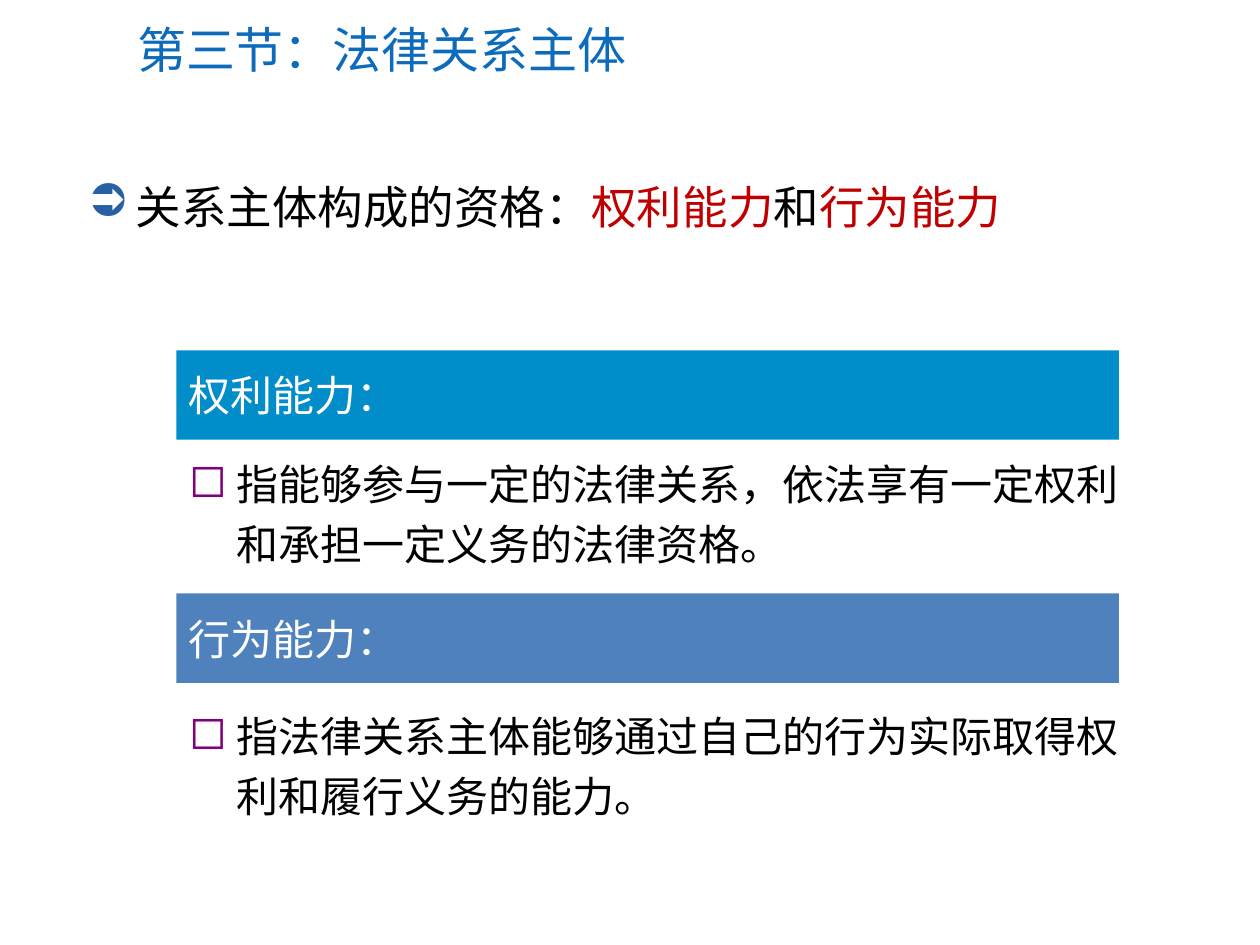
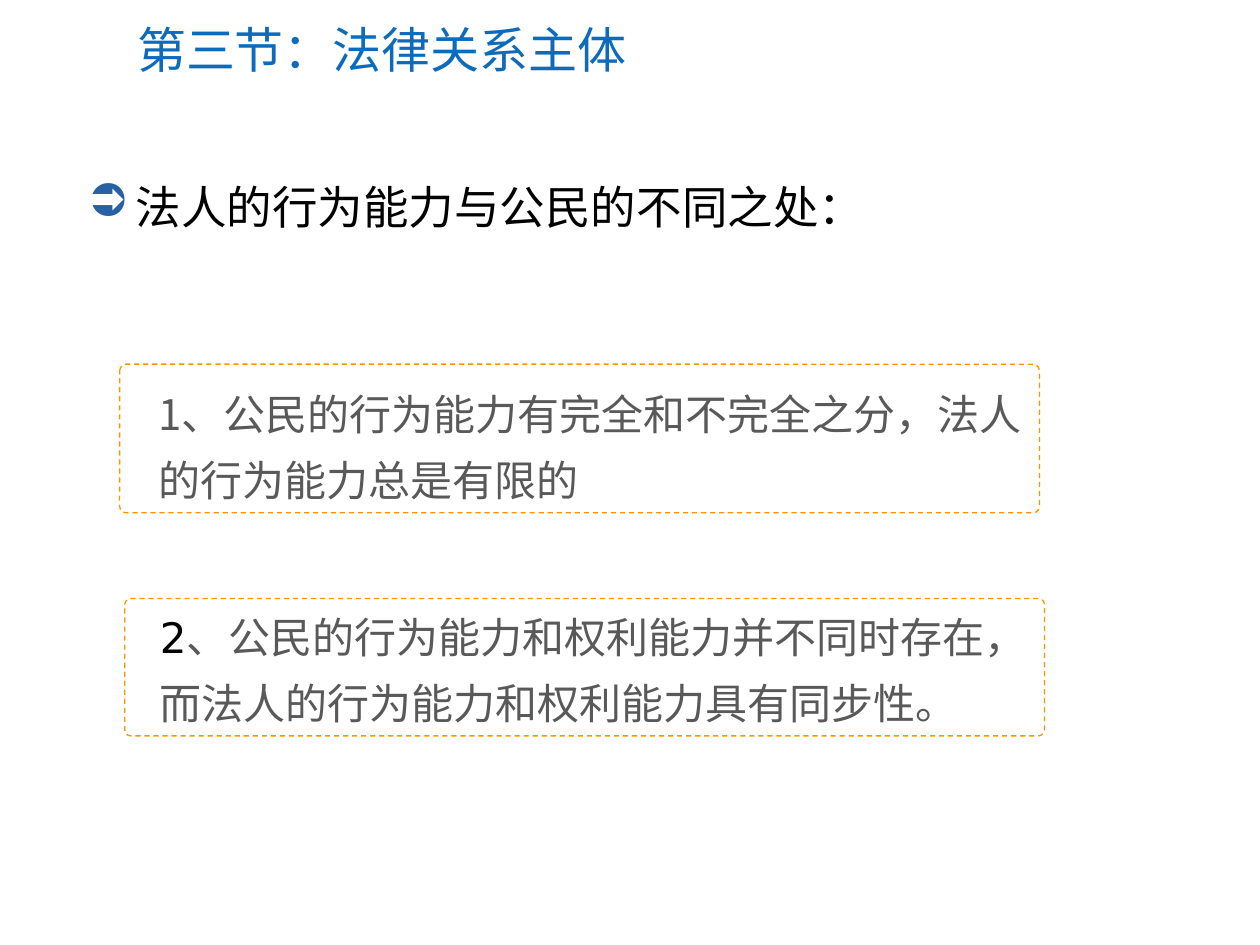
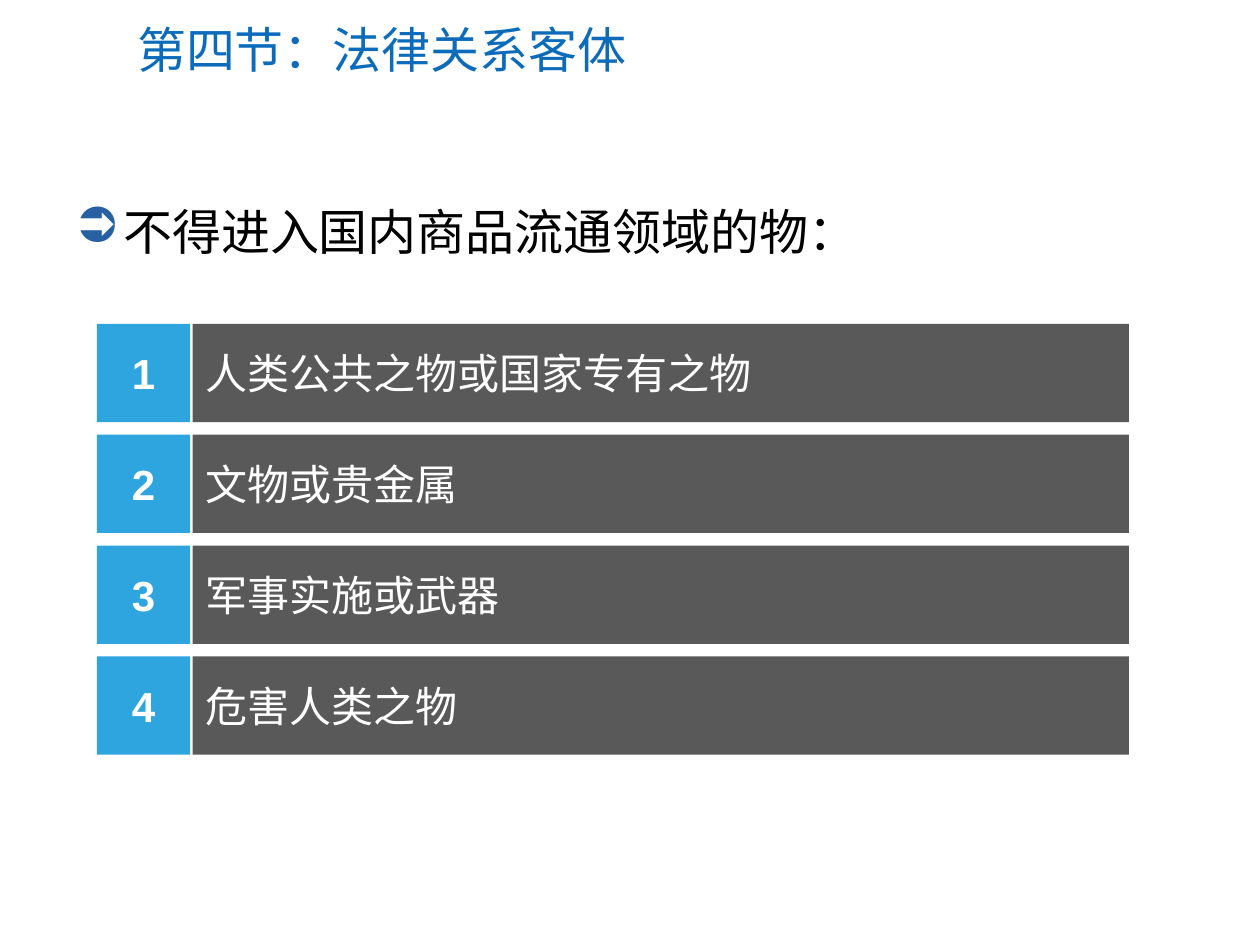
from dataclasses import dataclass

from lxml import etree
from pptx import Presentation
from pptx.dml.color import RGBColor
from pptx.enum.dml import MSO_LINE
from pptx.enum.shapes import MSO_SHAPE
from pptx.enum.text import MSO_ANCHOR, MSO_AUTO_SIZE, PP_ALIGN
from pptx.oxml.ns import qn
from pptx.util import Inches, Pt

RECT = MSO_SHAPE.RECTANGLE
ROUND = MSO_SHAPE.ROUNDED_RECTANGLE
TOP = MSO_ANCHOR.TOP
MIDDLE = MSO_ANCHOR.MIDDLE
LEFT = PP_ALIGN.LEFT
CENTER = PP_ALIGN.CENTER
GROW = MSO_AUTO_SIZE.SHAPE_TO_FIT_TEXT
FIXED = MSO_AUTO_SIZE.NONE
DASH = MSO_LINE.DASH


@dataclass(frozen=True)
class Theme:
    title: str = "0C6BBA"
    ink: str = "000000"
    white: str = "FFFFFF"
    red: str = "C00000"
    gray: str = "595959"
    cyan: str = "008DCA"
    blue: str = "4F81BD"
    sky: str = "2EA5DF"
    orange: str = "FF9400"
    arrow: str = "2860A4"
    purple: str = "800080"
    font: str = "Calibri"
    asian: str = "Noto Sans CJK SC"
    digit: str = "Arial"
    plain: str = "DejaVu Sans"
    large: int = 28
    lead: int = 26
    body: int = 24


T = Theme()
ARROW = ("➲", T.arrow, 100)
SQUARE = ("◻", T.purple, 110)


def put_mark(para, mark):
    sign, color, scale = mark
    props = para._p.get_or_add_pPr()
    props.set("marL", str(Inches(0.38)))
    props.set("indent", str(-Inches(0.38)))
    tint = etree.SubElement(props, qn("a:buClr"))
    etree.SubElement(tint, qn("a:srgbClr"), val=color)
    etree.SubElement(props, qn("a:buSzPct"), val=str(scale * 1000))
    etree.SubElement(props, qn("a:buChar"), char=sign)


def write(shape, *parts, size=T.body, color=T.ink, font=T.font, bold=False,
          align=LEFT, anchor=MIDDLE, before=0.2, line=None, mark=None, fit=FIXED):
    frame = shape.text_frame
    frame.word_wrap = True
    frame.auto_size = fit
    frame.vertical_anchor = anchor
    para = frame.paragraphs[0]
    para.alignment = align
    para.space_before = Pt(size * before)
    if line:
        para.line_spacing = line
    if mark:
        put_mark(para, mark)
    for part in parts:
        text, tone, face = part if isinstance(part, tuple) else (part, color, font)
        run = para.add_run()
        run.text = text
        run.font.size = Pt(size)
        run.font.bold = bold
        run.font.name = face
        run.font.color.rgb = RGBColor.from_string(tone)
        etree.SubElement(run._r.get_or_add_rPr(), qn("a:ea"), typeface=T.asian)


def add_text(slide, box, *parts, **style):
    shape = slide.shapes.add_textbox(*map(Inches, box))
    write(shape, *parts, **style)


def add_box(slide, box, fill, kind=RECT):
    shape = slide.shapes.add_shape(kind, *map(Inches, box))
    shape.shadow.inherit = False
    shape.fill.solid()
    shape.fill.fore_color.rgb = RGBColor.from_string(fill)
    shape.line.fill.background()
    return shape


def add_page(deck, title):
    slide = deck.slides.add_slide(deck.slide_layouts[6])
    add_text(slide, (0.99, 0.1, 8.72, 0.58), title,
             size=T.large, color=T.title, before=0)
    return slide


def add_lead(slide, box, *parts, size=T.lead):
    add_text(slide, box, *parts, size=size, anchor=TOP, mark=ARROW)


def add_term(slide, box, fill, term, sense, drop):
    left, top, width, height = box
    write(add_box(slide, box, fill), term, color=T.white)
    add_text(slide, (left, top + drop, width + 0.2, 1.01), sense,
             anchor=TOP, line=1.2, mark=SQUARE, fit=GROW)


def add_note(slide, box, inner, *parts):
    left, top, width, height = box
    card = add_box(slide, box, T.white, ROUND)
    card.adjustments[0] = 0.044
    card.line.color.rgb = RGBColor.from_string(T.orange)
    card.line.width = Pt(0.75)
    card.line.dash_style = DASH
    right, down, span = inner
    add_text(slide, (left + right, top + down, span, 1.15), *parts,
             color=T.gray, font=T.asian, before=0, line=1.3, fit=GROW)


def add_rows(slide, box, items):
    left, top, width, height = box
    step, tall, tab, gap = 0.88, 0.78, 0.74, 0.02
    for index, item in enumerate(items):
        y = top + index * step
        cell = add_box(slide, (left, y, tab, tall), T.sky)
        write(cell, str(index + 1), color=T.white, font=T.digit,
              bold=True, align=CENTER)
        start = tab + gap
        bar = add_box(slide, (left + start, y, width - start, tall), T.gray)
        write(bar, item, color=T.white)


def make_terms(deck):
    slide = add_page(deck, "第三节：法律关系主体")
    add_lead(slide, (0.6, 1.37, 7.56, 0.77), "关系主体构成的资格：",
             ("权利能力", T.red, T.font), "和", ("行为能力", T.red, T.font))
    add_term(slide, (1.4, 2.78, 7.48, 0.71), T.cyan, "权利能力：",
             "指能够参与一定的法律关系，依法享有一定权利和承担一定义务的法律资格。", 0.73)
    add_term(slide, (1.4, 4.71, 7.48, 0.71), T.blue, "行为能力：",
             "指法律关系主体能够通过自己的行为实际取得权利和履行义务的能力。", 0.8)


def make_notes(deck):
    slide = add_page(deck, "第三节：法律关系主体")
    add_lead(slide, (0.6, 1.37, 7.56, 0.6), "法人的行为能力与公民的不同之处：")
    add_note(slide, (0.95, 2.89, 7.3, 1.18), (0.21, 0.02, 7.09),
             "1、公民的行为能力有完全和不完全之分，法人的行为能力总是有限的")
    add_note(slide, (0.99, 4.75, 7.3, 1.09), (0.18, -0.07, 7.12),
             ("2", T.ink, T.plain),
             "、公民的行为能力和权利能力并不同时存在，而法人的行为能力和权利能力具有同步性。")


def make_goods(deck):
    slide = add_page(deck, "第四节：法律关系客体")
    add_lead(slide, (0.5, 1.55, 9, 0.73), "不得进入国内商品流通领域的物：", size=T.large)
    add_rows(slide, (0.77, 2.57, 8.19, 3.42),
             ["人类公共之物或国家专有之物", "文物或贵金属", "军事实施或武器", "危害人类之物"])


def main():
    deck = Presentation()
    deck.slide_width = Inches(10)
    deck.slide_height = Inches(7.5)
    make_terms(deck)
    make_notes(deck)
    make_goods(deck)
    deck.save("out.pptx")


if __name__ == "__main__":
    main()
